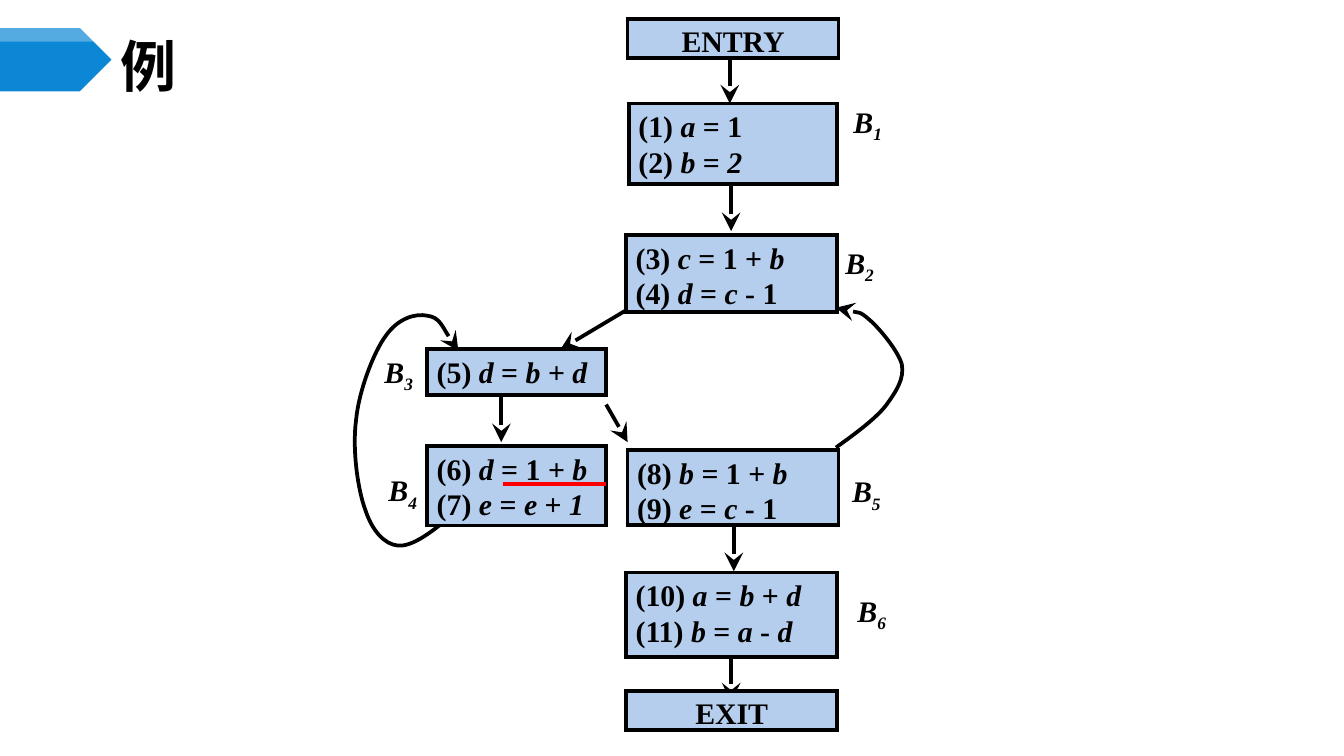
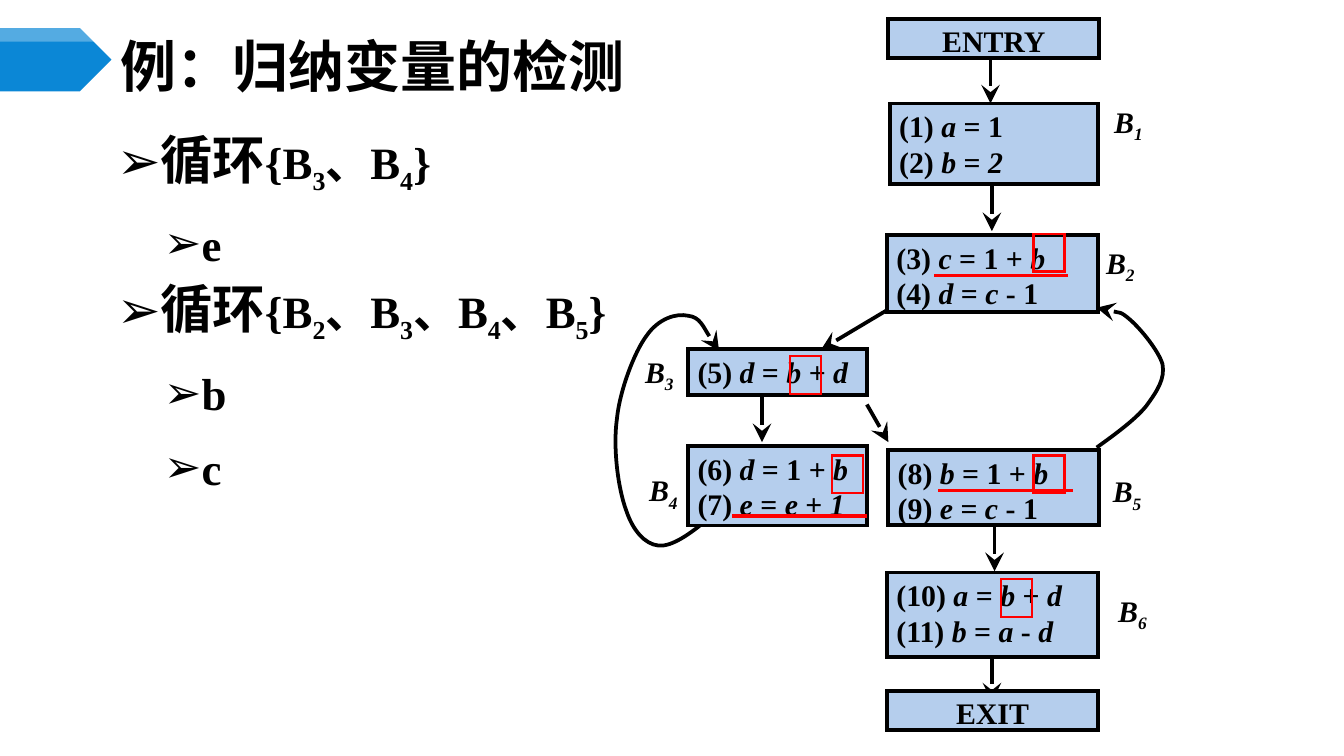
from lxml.etree import SubElement
from pptx import Presentation
from pptx.dml.color import RGBColor
from pptx.enum.shapes import MSO_CONNECTOR, MSO_SHAPE
from pptx.enum.text import MSO_ANCHOR, MSO_AUTO_SIZE, PP_ALIGN
from pptx.oxml.ns import qn
from pptx.util import Inches, Pt

BLACK = RGBColor(0x00, 0x00, 0x00)
WHITE = RGBColor(0xFF, 0xFF, 0xFF)
RED = RGBColor(0xFF, 0x00, 0x00)
BAND_BLUE = RGBColor(0x0B, 0x87, 0xD6)
BLOCK_BLUE = RGBColor(0xB5, 0xCE, 0xED)
SERIF, SANS = "Times New Roman", "Noto Sans CJK SC"

# In texts, _x_ is italic and ~x~ is subscript.
BLOCKS = [  # place, lines
    ((4.67, 0.14, 1.57, 0.29), ["ENTRY"]),
    ((4.68, 0.77, 1.55, 0.6), ["(1) _a_ = 1", "(2) _b_ = _2_"]),
    ((4.66, 1.75, 1.57, 0.57), ["(3) _c_ = 1 + _b_", "(4) _d_ = _c_ - 1"]),
    ((3.18, 2.6, 1.33, 0.34), ["(5) _d_ = _b_ + _d_"]),
    ((3.18, 3.32, 1.33, 0.59), ["(6) _d_ = 1 + _b_", "(7) _e_ = _e_ + _1_"]),
    ((4.67, 3.35, 1.57, 0.56), ["(8) _b_ = 1 + _b_", "(9) _e_ = _c_ - 1"]),
    ((4.66, 4.26, 1.57, 0.63), ["(10) _a_ = _b_ + _d_", "(11) _b_ = _a_ - _d_"]),
    ((4.66, 5.14, 1.57, 0.29), ["EXIT"]),
]
BLOCK_LABELS = [(6.28, 0.73), (6.22, 1.78), (2.79, 2.59),
                (2.82, 3.47), (6.27, 3.48), (6.31, 4.37)]
ARROWS = [
    ((5.43, 0.43), (5.43, 0.77)),
    ((5.44, 1.38), (5.44, 1.72)),
    ((4.69, 2.29), (4.17, 2.6)),
    ((3.73, 2.94), (3.73, 3.29)),
    ((4.51, 3.01), (4.67, 3.29)),
    ((5.46, 3.9), (5.46, 4.25)),
    ((5.44, 4.88), (5.44, 5.22)),
]
BACK_EDGES = [  # start point followed by triples of Bézier points
    [(3.33, 3.86),
     (3.2, 3.97), (3.06, 4.07), (2.96, 4.06),
     (2.86, 4.05), (2.77, 3.95), (2.72, 3.8),
     (2.66, 3.64), (2.62, 3.34), (2.65, 3.12),
     (2.67, 2.91), (2.78, 2.62), (2.87, 2.5),
     (2.96, 2.37), (3.09, 2.33), (3.18, 2.35),
     (3.27, 2.36), (3.36, 2.55), (3.41, 2.61)],
    [(6.22, 3.33),
     (6.36, 3.23), (6.51, 3.12), (6.59, 3.02),
     (6.67, 2.91), (6.73, 2.82), (6.71, 2.71),
     (6.68, 2.61), (6.55, 2.45), (6.47, 2.38),
     (6.39, 2.31), (6.22, 2.29), (6.22, 2.29)],
]
SLIDES = [
    dict(title="例", loops=[], shift=0,
         underlines=[(3.74, 3.6, 0.77)], marks=[]),
    dict(title="例：归纳变量的检测", shift=1.94,
         loops=[("{B~3~、B~4~}", ["e"]),
                ("{B~2~、B~3~、B~4~、B~5~}", ["b", "c"])],
         underlines=[(5.45, 3.84, 1), (6.98, 3.65, 1), (6.95, 2.05, 1)],
         marks=[(7.69, 1.74), (5.88, 2.65), (7.69, 3.39), (6.19, 3.39), (7.45, 4.31)]),
]
MARK_SIZE = (0.23, 0.28)
TITLE_PLACE = (0.83, 0.29, 4.18, 0.39)
LOOPS_PLACE = (0.47, 0.93, 4.4, 3.53)
INSETS = (0.07, 0.04, 0.07, 0.04)


def inches(lengths):
    return [Inches(length) for length in lengths]


def add_text(paragraph, text, size=16, font=SERIF, align=None):
    """Append text to the paragraph, turning _x_ italic and ~x~ subscript."""
    if align is not None:
        paragraph.alignment = align
    for i, piece in enumerate(text.split("_")):
        for j, part in enumerate(piece.split("~")):
            if not part:
                continue
            run = paragraph.add_run()
            run.text = part
            run.font.size, run.font.name = Pt(size), font
            run.font.bold, run.font.italic = True, bool(i % 2)
            run.font.color.rgb = BLACK
            props = run._r.get_or_add_rPr()
            SubElement(props, qn("a:ea")).set("typeface", SANS)
            if j % 2:
                props.set("baseline", "-25000")


def set_frame(frame, insets=INSETS, anchor=MSO_ANCHOR.TOP):
    frame.word_wrap = True
    frame.auto_size = MSO_AUTO_SIZE.NONE
    frame.vertical_anchor = anchor
    (frame.margin_left, frame.margin_top,
     frame.margin_right, frame.margin_bottom) = inches(insets)


def set_line(shape, color=BLACK, width=2, arrow=False):
    shape.line.color.rgb = color
    shape.line.width = Pt(width)
    outline = shape.line._get_or_add_ln()
    SubElement(outline, qn("a:miter")).set("lim", "800000")
    if arrow:
        tail = SubElement(outline, qn("a:tailEnd"))
        for key, value in (("type", "stealth"), ("w", "lg"), ("len", "lg")):
            tail.set(key, value)


def add_box(shapes, place, fill=None, preset=MSO_SHAPE.RECTANGLE):
    box = shapes.add_shape(preset, *inches(place))
    box.shadow.inherit = False
    box.line.fill.background()
    if fill is None:
        box.fill.background()
    else:
        box.fill.solid()
        box.fill.fore_color.rgb = fill
    return box


def add_straight(shapes, start, end, **line_format):
    line = shapes.add_connector(MSO_CONNECTOR.STRAIGHT, *inches(start + end))
    set_line(line, **line_format)
    SubElement(line._element.spPr, qn("a:effectLst"))


def add_back_edge(shapes, points):
    start, *rest = [tuple(inches(point)) for point in points]
    builder = shapes.build_freeform(*start)
    builder.add_line_segments(rest, close=False)
    edge = builder.convert_to_shape()
    edge.shadow.inherit = False
    edge.fill.background()
    set_line(edge, arrow=True)
    outline = next(edge._element.iter(qn("a:path")))
    segments = outline.findall(qn("a:lnTo"))
    for first in range(0, len(segments), 3):
        curve = SubElement(outline, qn("a:cubicBezTo"))
        for segment in segments[first:first + 3]:
            curve.append(segment[0])
            outline.remove(segment)


def add_flow_graph(slide, shift):
    group = slide.shapes.add_group_shape()
    shapes = group.shapes
    for start, end in ARROWS:
        add_straight(shapes, start, end, arrow=True)
    for points in BACK_EDGES:
        add_back_edge(shapes, points)
    for place, lines in BLOCKS:
        block = add_box(shapes, place, BLOCK_BLUE)
        set_line(block)
        frame = block.text_frame
        set_frame(frame, insets=(0.07, 0.03, 0.07, 0))
        align = PP_ALIGN.CENTER if lines[0].isalpha() else PP_ALIGN.JUSTIFY
        for i, line in enumerate(lines):
            paragraph = frame.add_paragraph() if i else frame.paragraphs[0]
            add_text(paragraph, line, align=align)
    for number, corner in enumerate(BLOCK_LABELS, 1):
        label = shapes.add_textbox(*inches(corner + (0.6, 0.36))).text_frame
        set_frame(label)
        add_text(label.paragraphs[0], f"_B~{number}~_", align=PP_ALIGN.JUSTIFY)
    group.left += Inches(shift)


def add_band_to_master(prs, slide):
    """Draw the title band on the slide, then move it to the master."""
    band = add_box(slide.shapes, (0, 0.21, 0.83, 0.47), BAND_BLUE, MSO_SHAPE.PENTAGON)
    gloss = add_box(slide.shapes, (0, 0.21, 0.83, 0.1), WHITE, MSO_SHAPE.PENTAGON)
    gloss.adjustments[0] = 0
    color = next(gloss._element.spPr.iter(qn("a:srgbClr")))
    SubElement(color, qn("a:alpha")).set("val", "30000")
    for index, part in enumerate((band, gloss), 2):
        prs.slide_master.shapes._spTree.insert(index, part._element)


def place_on(shape, place):
    shape.left, shape.top, shape.width, shape.height = inches(place)


def add_bullet(frame, level, first=False):
    paragraph = frame.paragraphs[0] if first else frame.add_paragraph()
    paragraph.level = level
    paragraph.line_spacing, paragraph.space_before = Pt(35), Pt(5)
    left, hanging = ((0.63, -0.3), (0.93, -0.25))[level]
    props = paragraph._p.get_or_add_pPr()
    props.set("marL", str(Inches(left)))
    props.set("indent", str(Inches(hanging)))
    SubElement(props, qn("a:buChar")).set("char", "➢")
    return paragraph


def fill_loops(body, loops):
    place_on(body, LOOPS_PLACE)
    frame = body.text_frame
    set_frame(frame)
    for i, (blocks, variables) in enumerate(loops):
        heading = add_bullet(frame, 0, first=i == 0)
        add_text(heading, "循环", size=28)
        add_text(heading, blocks, size=24)
        for variable in variables:
            add_text(add_bullet(frame, 1), variable, size=24)


def main():
    prs = Presentation()
    prs.slide_width = Inches(10)
    prs.slide_height = prs.slide_width * 9 // 16
    for content in SLIDES:
        layout = prs.slide_layouts[1 if content["loops"] else 5]
        slide = prs.slides.add_slide(layout)
        if len(prs.slides) == 1:
            add_band_to_master(prs, slide)
        title = slide.shapes.title
        place_on(title, TITLE_PLACE)
        set_frame(title.text_frame, anchor=MSO_ANCHOR.MIDDLE)
        add_text(title.text_frame.paragraphs[0], content["title"],
                 size=30, font=SANS, align=PP_ALIGN.LEFT)
        if content["loops"]:
            fill_loops(slide.placeholders[1], content["loops"])
        add_flow_graph(slide, content["shift"])
        for x, y, width in content["underlines"]:
            add_straight(slide.shapes, (x, y), (x + width, y), color=RED)
        for corner in content["marks"]:
            set_line(add_box(slide.shapes, corner + MARK_SIZE), color=RED, width=1.25)
    prs.save("out.pptx")


if __name__ == "__main__":
    main()
